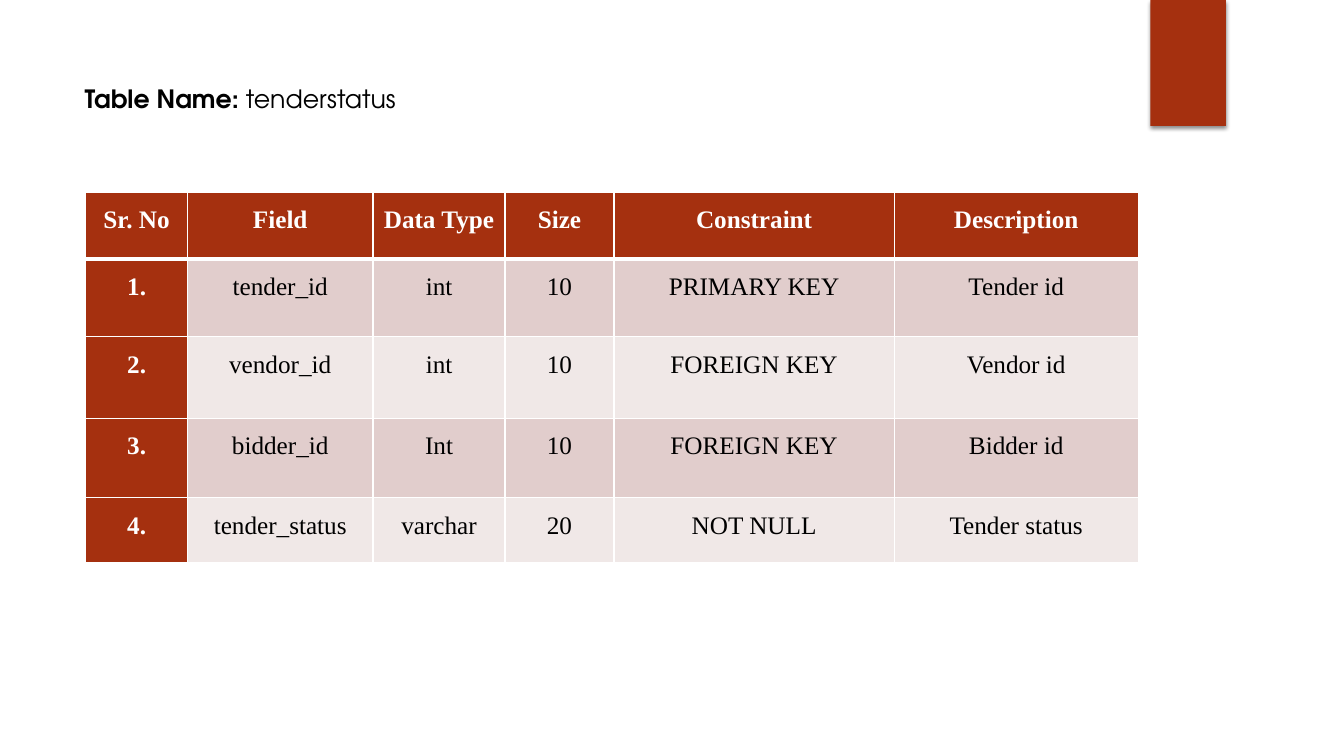
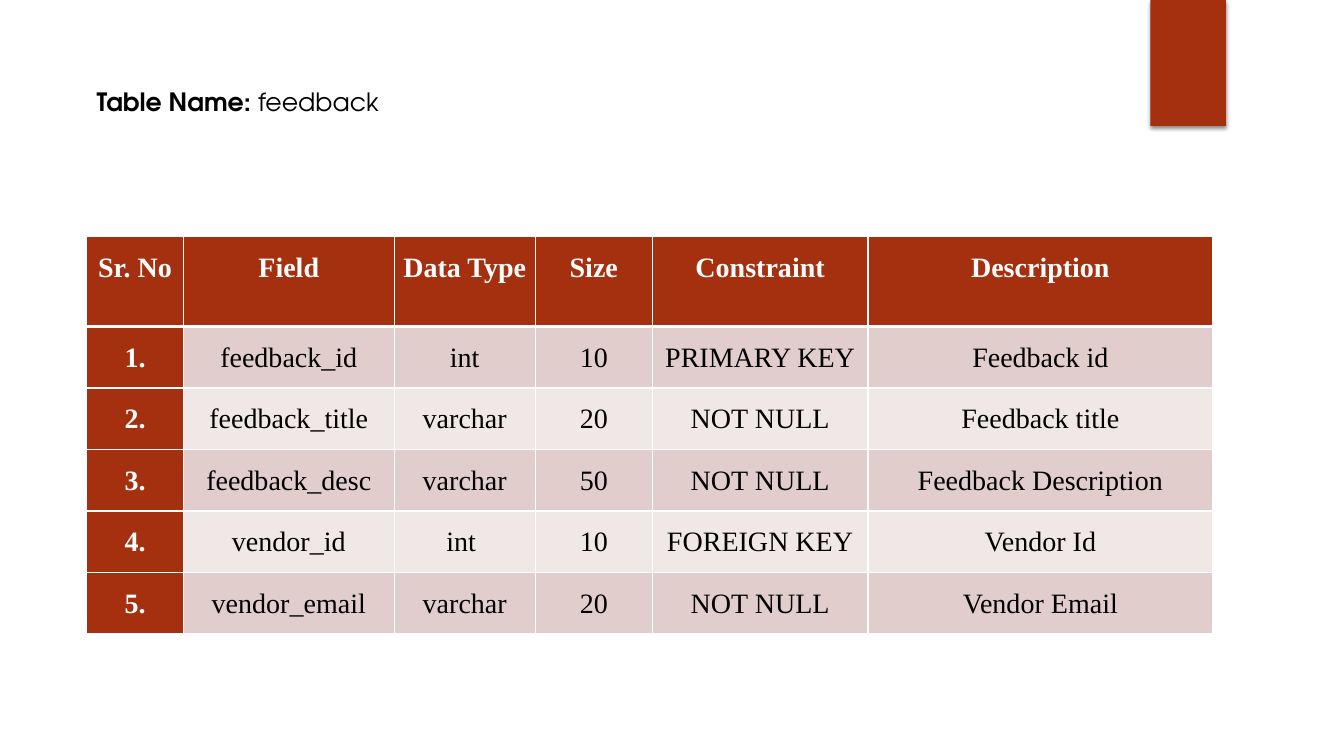
from lxml import etree
from pptx import Presentation
from pptx import util as u
from pptx.dml.color import RGBColor
from pptx.enum import shapes, text
from pptx.oxml import ns

In = u.Inches

# Theme: colours, fonts and type sizes
theme = {
    "rust": RGBColor.from_string("A5300F"),
    "bands": [RGBColor.from_string(c) for c in ("E1CDCC", "F0E8E7")],
    "white": RGBColor.from_string("FFFFFF"),
    "black": RGBColor.from_string("000000"),
    "title": "TeX Gyre Adventor",
    "body": "Times New Roman",
    "size": u.Pt(18),
}
para = {"alignment": text.PP_ALIGN.CENTER, "line_spacing": 1.5, "space_after": u.Pt(8)}
inset = {"margin_left": In(0.07), "margin_right": In(0.07),
         "margin_top": 0, "margin_bottom": 0}

# Content of the two slides
heads = ["Sr. No", "Field", "Data Type", "Size", "Constraint", "Description"]
pages = [
    {"name": "tenderstatus", "label": (0.74, 0.78, 3.46, 0.4), "wrap": True,
     "at": (0.85, 1.91), "size": u.Pt(18),
     "cols": [1.01, 1.84, 1.31, 1.08, 2.78, 2.42],
     "rows": [0.66, 0.77, 0.81, 0.79, 0.64],
     "data": [
         ["tender_id", "int", "10", "PRIMARY KEY", "Tender id"],
         ["vendor_id", "int", "10", "FOREIGN KEY", "Vendor id"],
         ["bidder_id", "Int", "10", "FOREIGN KEY", "Bidder id"],
         ["tender_status", "varchar", "20", "NOT NULL", "Tender status"]]},
    {"name": "feedback", "label": (0.86, 0.81, 3.04, 0.4), "wrap": False,
     "at": (0.86, 2.35), "size": u.Pt(20),
     "cols": [0.96, 2.09, 1.4, 1.16, 2.14, 3.42],
     "rows": [0.89] + [0.61] * 5,
     "data": [
         ["feedback_id", "int", "10", "PRIMARY KEY", "Feedback id"],
         ["feedback_title", "varchar", "20", "NOT NULL", "Feedback title"],
         ["feedback_desc", "varchar", "50", "NOT NULL", "Feedback Description"],
         ["vendor_id", "int ", "10", "FOREIGN KEY", "Vendor Id"],
         ["vendor_email", "varchar", "20", "NOT NULL", "Vendor Email"]]},
]


def write(par, words, font, size, color, bold):
    run = par.add_run()
    run.text = words
    look = {"name": font, "size": size, "bold": bold}
    for key, val in look.items():
        setattr(run.font, key, val)
    run.font.color.rgb = color


def edge(cell, row):
    # White rules, with a thick one below the header
    wide = {"lnL": 1, "lnR": 1, "lnT": 3 if row == 1 else 1, "lnB": 3 if row == 0 else 1}
    props = cell._tc.get_or_add_tcPr()
    for spot, (tag, pts) in enumerate(wide.items()):
        line = etree.Element(ns.qn("a:" + tag), w=str(u.Pt(pts)))
        fill = etree.SubElement(line, ns.qn("a:solidFill"))
        etree.SubElement(fill, ns.qn("a:srgbClr"), val=str(theme["white"]))
        props.insert(spot, line)


prs = Presentation()
prs.slide_width, prs.slide_height = In(13.33), In(7.5)

for page in pages:
    slide = prs.slides.add_slide(prs.slide_layouts[6])

    # Corner tab with a soft shadow
    tab = slide.shapes.add_shape(shapes.MSO_SHAPE.RECTANGLE,
                                 In(11.41), 0, In(0.75), In(1.25))
    tab.fill.solid()
    tab.fill.fore_color.rgb = theme["rust"]
    tab.line.fill.background()
    tab.shadow.inherit = False
    glow = etree.SubElement(tab._element.spPr.find(ns.qn("a:effectLst")),
                            ns.qn("a:outerShdw"), blurRad=str(u.Pt(3)),
                            dist=str(u.Pt(2)), dir="5400000", rotWithShape="0")
    tint = etree.SubElement(glow, ns.qn("a:srgbClr"), val=str(theme["black"]))
    etree.SubElement(tint, ns.qn("a:alpha"), val="45000")

    # Table name
    frame = slide.shapes.add_textbox(*map(In, page["label"])).text_frame
    frame.word_wrap = page["wrap"]
    frame.auto_size = text.MSO_AUTO_SIZE.SHAPE_TO_FIT_TEXT
    for words, bold in (("Table Name: ", True), (page["name"], False)):
        write(frame.paragraphs[0], words, theme["title"], theme["size"],
              theme["black"], bold)

    # Table of fields, numbered by row
    cols, rows = page["cols"], page["rows"]
    grid = slide.shapes.add_table(len(rows), len(cols), *map(In, page["at"]),
                                  In(sum(cols)), In(sum(rows))).table
    grid.first_col = True
    for col, wide in zip(grid.columns, cols):
        col.width = In(wide)
    for row, high in zip(grid.rows, rows):
        row.height = In(high)
    lines = [heads] + [[f"{n}."] + rec for n, rec in enumerate(page["data"], 1)]
    for r, line in enumerate(lines):
        for c, words in enumerate(line):
            cell = grid.cell(r, c)
            head = r == 0 or c == 0
            cell.fill.solid()
            cell.fill.fore_color.rgb = theme["rust"] if head else theme["bands"][(r - 1) % 2]
            edge(cell, r)
            par = cell.text_frame.paragraphs[0]
            for item, form in ((cell, inset), (par, para)):
                for key, val in form.items():
                    setattr(item, key, val)
            write(par, words, theme["body"], page["size"],
                  theme["white"] if head else theme["black"], head)

prs.save("out.pptx")
